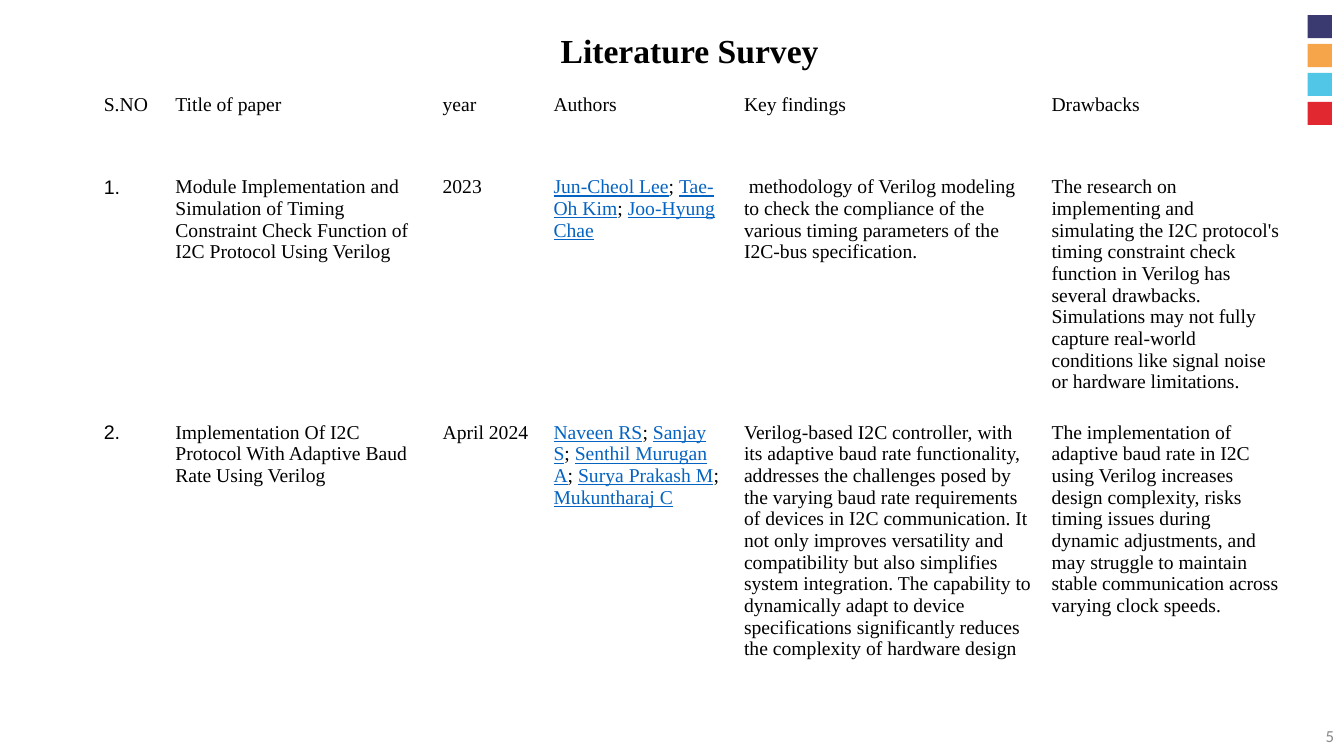
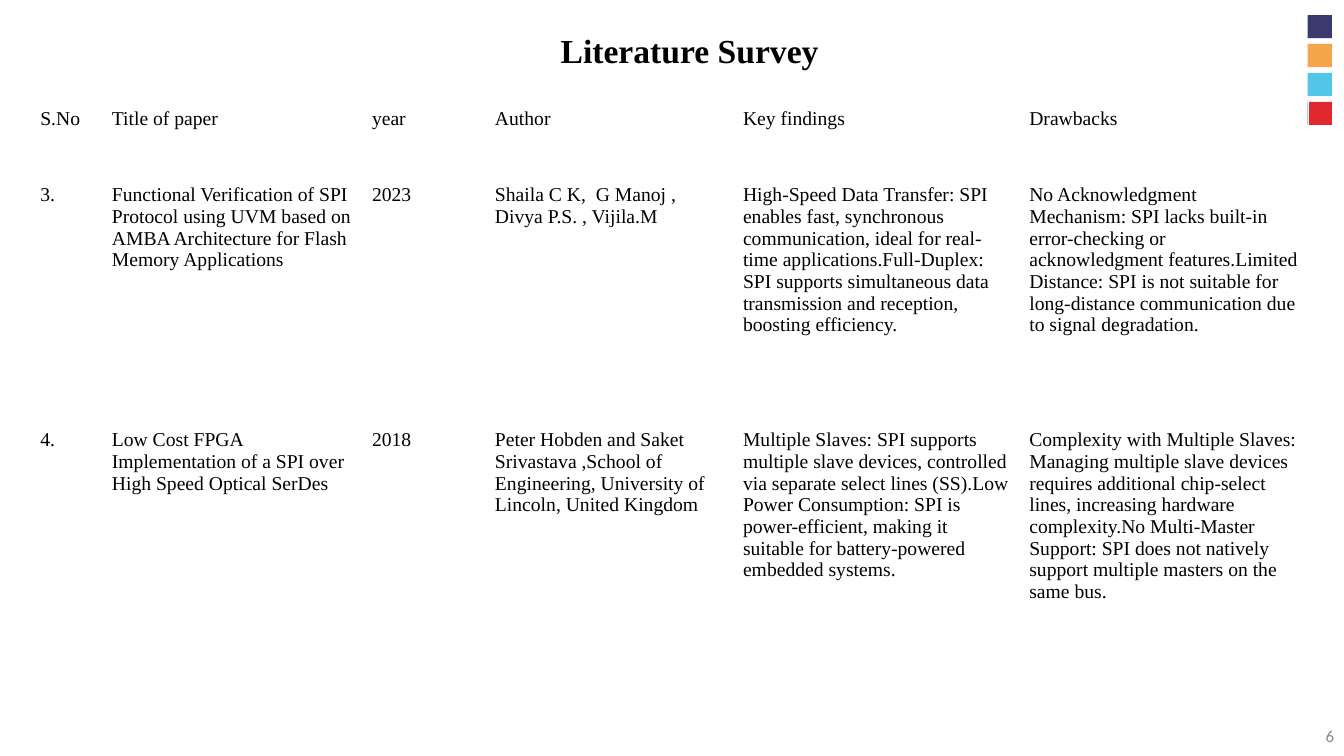
from dataclasses import dataclass

from pptx import Presentation
from pptx.dml.color import RGBColor
from pptx.enum.shapes import MSO_SHAPE
from pptx.enum.text import MSO_ANCHOR, MSO_AUTO_SIZE, PP_ALIGN
from pptx.util import Inches, Pt

RECTANGLE = MSO_SHAPE.RECTANGLE
TOP, MIDDLE = MSO_ANCHOR.TOP, MSO_ANCHOR.MIDDLE
CENTER, RIGHT = PP_ALIGN.CENTER, PP_ALIGN.RIGHT
NO_AUTOFIT = MSO_AUTO_SIZE.NONE
TITLE_ONLY = 5


@dataclass(frozen=True)
class Theme:
    ink: str = "000000"
    author_link: str = "0563C1"
    page_number: str = "888888"
    accents: tuple = ("3A3A70", "F7A54B", "51C6E7", "E12730")
    serif: str = "Times New Roman"
    sans: str = "Arial"
    footer: str = "Calibri"
    title_size: int = 24
    table_size: int = 14
    footer_size: int = 12


THEME = Theme()

SURVEY_PAGES = [
    {
        "page": "5",
        "corner": (0.93, 0.88),
        "columns": (0.71, 2.65, 1.1, 1.89, 3.05, 2.47),
        "rows": (0.82, 2.31, 2.31),
        "numbering_font": THEME.sans,
        "papers": [
            ["S.NO", "Title of paper", "year", "Authors", "Key findings", "Drawbacks"],
            [
                "1.",
                "Module Implementation and Simulation of Timing Constraint Check "
                "Function of I2C Protocol Using Verilog",
                "2023",
                ("Jun-Cheol Lee", "Tae-Oh Kim", "Joo-Hyung Chae"),
                " methodology of Verilog modeling to check the compliance of the "
                "various timing parameters of the I2C-bus specification.",
                "The research on implementing and simulating the I2C protocol's "
                "timing constraint check function in Verilog has several drawbacks. "
                "Simulations may not fully capture real-world conditions like signal "
                "noise or hardware limitations.",
            ],
            [
                "2.",
                "Implementation Of I2C Protocol With Adaptive Baud Rate Using Verilog",
                "April 2024",
                ("Naveen RS", "Sanjay S", "Senthil Murugan A", "Surya Prakash M",
                 "Mukuntharaj C"),
                "Verilog-based I2C controller, with its adaptive baud rate "
                "functionality, addresses the challenges posed by the varying baud "
                "rate requirements of devices in I2C communication. It not only "
                "improves versatility and compatibility but also simplifies system "
                "integration. The capability to dynamically adapt to device "
                "specifications significantly reduces the complexity of hardware design",
                "The implementation of adaptive baud rate in I2C using Verilog "
                "increases design complexity, risks timing issues during dynamic "
                "adjustments, and may struggle to maintain stable communication "
                "across varying clock speeds.",
            ],
        ],
    },
    {
        "page": "6",
        "corner": (0.3, 1.02),
        "columns": (0.71, 2.58, 1.22, 2.46, 2.84, 2.87),
        "rows": (0.76, 2.43, 2.72),
        "numbering_font": THEME.serif,
        "papers": [
            ["S.No", "Title of paper", "year", "Author", "Key findings", "Drawbacks"],
            [
                "3.",
                "Functional Verification of SPI Protocol using UVM based on AMBA "
                "Architecture for Flash Memory Applications",
                "2023",
                ["Shaila C K,  G Manoj ,", "Divya P.S. , Vijila.M"],
                "High-Speed Data Transfer: SPI enables fast, synchronous "
                "communication, ideal for real-time applications.Full-Duplex: SPI "
                "supports simultaneous data transmission and reception, boosting "
                "efficiency.",
                "No Acknowledgment Mechanism: SPI lacks built-in error-checking or "
                "acknowledgment features.Limited Distance: SPI is not suitable for "
                "long-distance communication due to signal degradation.",
            ],
            [
                "4.",
                "Low Cost FPGA Implementation of a SPI over High Speed Optical SerDes",
                "2018",
                "Peter Hobden and Saket Srivastava ,School of Engineering, "
                "University of Lincoln, United Kingdom",
                "Multiple Slaves: SPI supports multiple slave devices, controlled "
                "via separate select lines (SS).Low Power Consumption: SPI is "
                "power-efficient, making it suitable for battery-powered embedded "
                "systems.",
                "Complexity with Multiple Slaves: Managing multiple slave devices "
                "requires additional chip-select lines, increasing hardware "
                "complexity.No Multi-Master Support: SPI does not natively support "
                "multiple masters on the same bus.",
            ],
        ],
    },
]


def add_run(paragraph, text, size=THEME.table_size, face=THEME.serif,
            color=THEME.ink, bold=False, underline=False):
    run = paragraph.add_run()
    run.text = text
    run.font.size = Pt(size)
    run.font.name = face
    run.font.bold = bold
    run.font.underline = underline
    run.font.color.rgb = RGBColor.from_string(color)


def fill_cell(cell, content, face):
    cell.fill.background()
    lines = content if isinstance(content, list) else [content]
    for index, line in enumerate(lines):
        frame = cell.text_frame
        paragraph = frame.add_paragraph() if index else frame.paragraphs[0]
        if isinstance(line, str):
            add_run(paragraph, line, face=face)
            continue
        for position, author in enumerate(line):
            if position:
                add_run(paragraph, "; ")
            add_run(paragraph, author, color=THEME.author_link, underline=True)


deck = Presentation()
deck.slide_width = Inches(13.33)
deck.slide_height = Inches(7.5)

for survey in SURVEY_PAGES:
    slide = deck.slides.add_slide(deck.slide_layouts[TITLE_ONLY])

    for index, accent in enumerate(THEME.accents):
        square = slide.shapes.add_shape(
            RECTANGLE, Inches(12.97), Inches(0.15 + index * 0.86 / 3),
            Inches(0.24), Inches(0.23))
        square.shadow.inherit = False
        square.fill.solid()
        square.fill.fore_color.rgb = RGBColor.from_string(accent)
        square.line.fill.background()

    page_number = slide.shapes.add_textbox(
        Inches(10.33), Inches(7.1), Inches(3), Inches(0.4)).text_frame
    page_number.word_wrap = True
    page_number.vertical_anchor = MIDDLE
    page_number.paragraphs[0].alignment = RIGHT
    add_run(page_number.paragraphs[0], survey["page"], THEME.footer_size,
            THEME.footer, THEME.page_number)

    title = slide.shapes.title
    title.left, title.top = Inches(1.09), Inches(0.25)
    title.width, title.height = Inches(11.5), Inches(0.54)
    title.text_frame.auto_size = NO_AUTOFIT
    title.text_frame.vertical_anchor = TOP
    heading = title.text_frame.paragraphs[0]
    heading.alignment = CENTER
    add_run(heading, "Literature Survey", THEME.title_size, bold=True)

    left, top = survey["corner"]
    papers = slide.shapes.add_table(
        len(survey["rows"]), len(survey["columns"]), Inches(left), Inches(top),
        Inches(sum(survey["columns"])), Inches(sum(survey["rows"]))).table
    papers.first_row = False
    papers.horz_banding = False
    for column, width in zip(papers.columns, survey["columns"]):
        column.width = Inches(width)
    for row, height in zip(papers.rows, survey["rows"]):
        row.height = Inches(height)
    for row_index, entries in enumerate(survey["papers"]):
        for column_index, entry in enumerate(entries):
            is_number = row_index > 0 and column_index == 0
            face = survey["numbering_font"] if is_number else THEME.serif
            fill_cell(papers.cell(row_index, column_index), entry, face)

deck.save("out.pptx")
